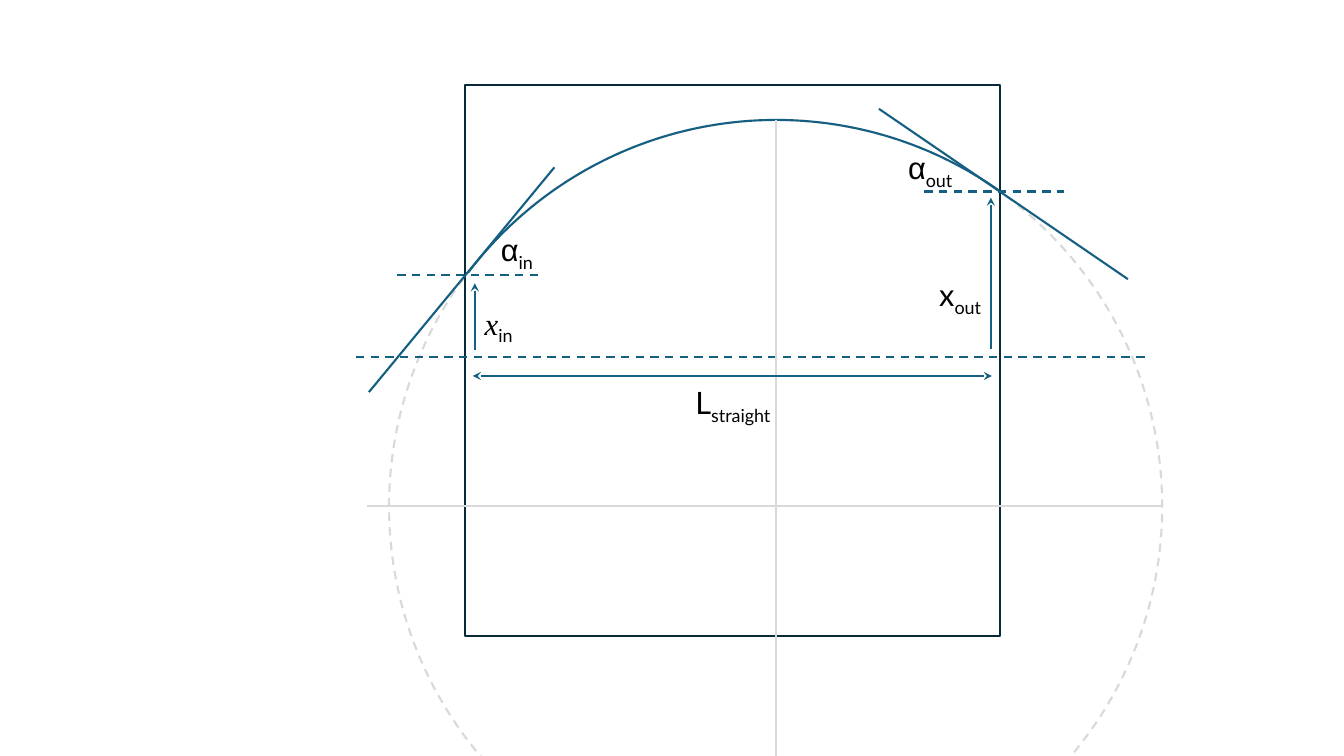
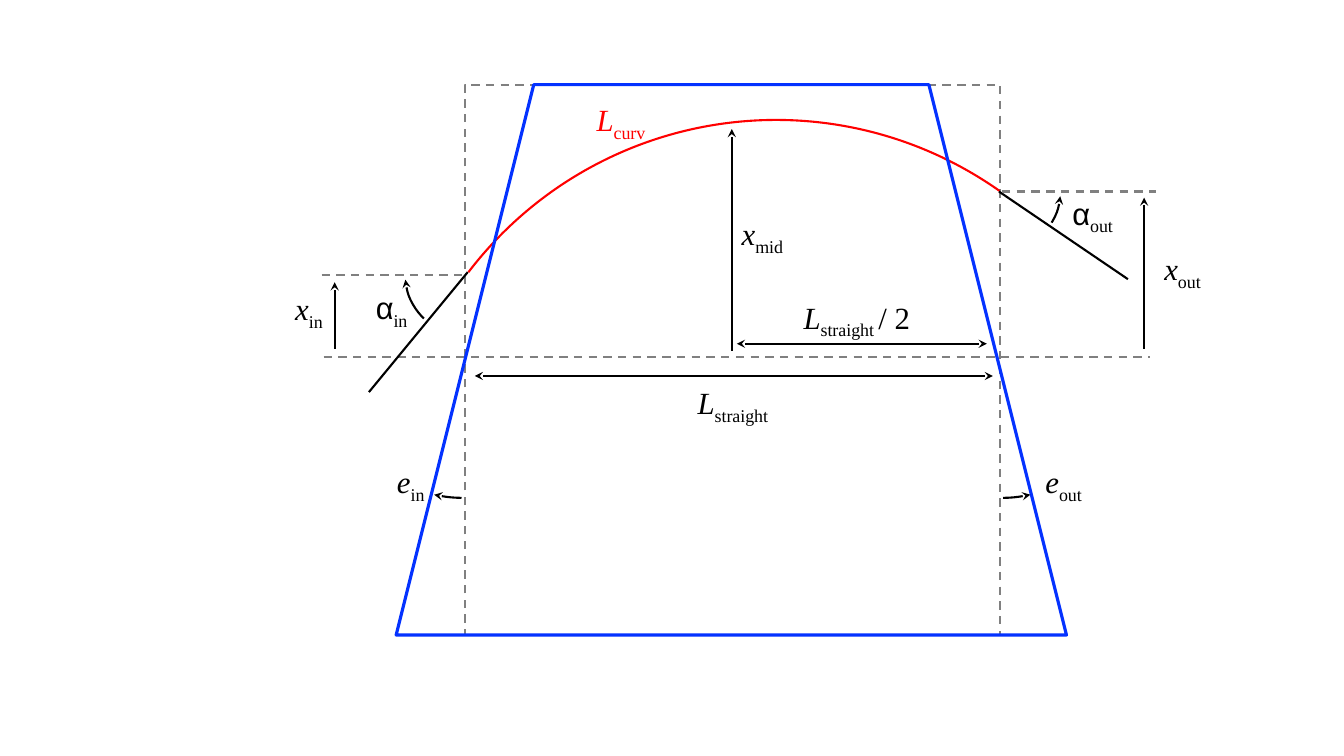
from lxml import etree
from pptx import Presentation
from pptx import util as u
from pptx.dml.color import RGBColor
from pptx.enum import dml, shapes, text
from pptx.oxml import ns

COLORS = {"teal": "156082", "frame": "092A39", "pale": "D9D9D9", "gray": "808080",
          "black": "000000", "red": "FF0000", "blue": "0432FF"}
SERIF, SANS, GREEK = "Times New Roman", "Lato", "Arial"
LEFT, CENTER, RIGHT = text.PP_ALIGN.LEFT, text.PP_ALIGN.CENTER, text.PP_ALIGN.RIGHT

# Geometry of the magnet, in grid cells of a tenth of an inch
CELL = u.Inches(0.1)
COLUMNS, ROWS = 133.33, 75
IN_X, OUT_X = 46.1, 99.2
TOP, HEIGHT = 8.4, 54.6
AXIS_Y, IN_Y, OUT_Y = 35.4, 27.3, 19
SPAN_Y = 37.3
ORBIT, ORBIT_RADIUS = (77, 50.3), 38.4
ORBIT_ANGLES = (217.33, 305.25)


def cells(*counts):
    return [u.Emu(round(count * CELL)) for count in counts]


def add_run(paragraph, content, font=SERIF, color="black", italic=False, subscript=False):
    run = paragraph.add_run()
    run.text = content
    run.font.name = font
    run.font.size = u.Pt(22)
    run.font.italic = italic
    run.font.color.rgb = RGBColor.from_string(COLORS[color])
    if subscript:
        run.font._element.set("baseline", "-25000")


class Diagram:
    """Holds the line style and draws on the current slide."""

    def __init__(self, presentation, color, arrow_width):
        self.slide = presentation.slides.add_slide(presentation.slide_layouts[6])
        self.color = color
        self.arrow_width = arrow_width

    def style_line(self, element, color, width, dashed, ends):
        line = element.line
        line.color.rgb = RGBColor.from_string(COLORS[color or self.color])
        line.width = u.Pt(width)
        if dashed:
            line.dash_style = dml.MSO_LINE.DASH
        for end in ends:
            etree.SubElement(line._get_or_add_ln(), ns.qn(f"a:{end}End"), type="stealth")

    def outline(self, kind, left, top, width, height, color=None, weight=1.5,
                dashed=False, ends=(), adjustments=()):
        shape = self.slide.shapes.add_shape(kind, *cells(left, top, width, height))
        shape.shadow.inherit = False
        shape.fill.background()
        for index, value in enumerate(adjustments):
            shape.adjustments[index] = value
        self.style_line(shape, color, weight, dashed, ends)
        return shape

    def arc(self, center, radius, angles, **style):
        """Draw clockwise between two angles in degrees."""
        x, y = center
        return self.outline(shapes.MSO_SHAPE.ARC, x - radius, y - radius, 2 * radius,
                            2 * radius, adjustments=[angle * 0.6 for angle in angles], **style)

    def line(self, x1, y1, x2, y2, color=None, width=1.5, dashed=False, ends=()):
        connector = self.slide.shapes.add_connector(
            shapes.MSO_CONNECTOR.STRAIGHT, *cells(x1, y1, x2, y2))
        self.style_line(connector, color, width, dashed, ends)
        etree.SubElement(connector._element.spPr, ns.qn("a:effectLst"))
        return connector

    def arrow(self, x1, y1, x2, y2, both=False):
        ends = ("head", "tail") if both else ("tail",)
        return self.line(x1, y1, x2, y2, width=self.arrow_width, ends=ends)

    def label(self, left, top, width, symbol, subscript, suffix="", align=LEFT,
              font=SERIF, sub_font=SERIF, italic=True, color="black"):
        box = self.slide.shapes.add_textbox(*cells(left, top, width, 8.4))
        box.text_frame.word_wrap = align == CENTER
        paragraph = box.text_frame.paragraphs[0]
        paragraph.alignment = align
        add_run(paragraph, symbol, font=font, italic=italic, color=color)
        add_run(paragraph, subscript, font=sub_font, subscript=True, color=color)
        if suffix:
            add_run(paragraph, suffix, font=sub_font, color=color)


def draw_straight_magnet(presentation):
    diagram = Diagram(presentation, "teal", 1.75)
    circle = diagram.outline(shapes.MSO_SHAPE.OVAL, 38.6, 11.9, 76.7, 76.7,
                             color="pale", dashed=True)
    diagram.outline(shapes.MSO_SHAPE.RECTANGLE, IN_X, TOP, OUT_X - IN_X, HEIGHT + 0.1,
                    color="frame")
    diagram.line(35.3, AXIS_Y, 114.1, AXIS_Y, dashed=True)
    diagram.arc(ORBIT, ORBIT_RADIUS, ORBIT_ANGLES)
    diagram.line(36.4, 50.2, 115.2, 50.2, color="pale")
    diagram.line(76.95, 11.9, 76.95, 90.7, color="pale").begin_connect(circle, 0)

    diagram.line(55, 16.6, 36.6, 38.9)
    diagram.line(39.4, IN_Y, 53.4, IN_Y, dashed=True)
    diagram.line(87.2, 10.8, 111.9, 27.7)
    diagram.line(91.7, OUT_Y, 105.6, OUT_Y, dashed=True)

    diagram.arrow(47.1, 34.7, 47.1, 28.1)
    diagram.arrow(98.3, 34.6, 98.3, 19.6)
    diagram.arrow(98.4, SPAN_Y, 46.9, SPAN_Y, both=True)

    greek = {"font": GREEK, "sub_font": SANS, "italic": False}
    sans = {"font": SANS, "sub_font": SANS, "italic": False}
    diagram.label(48.7, 22.4, 5.6, "α", "in", **greek)
    diagram.label(89.1, 14.3, 6.9, "α", "out", **greek)
    diagram.label(47.1, 29.7, 5.2, "x", "in", sub_font=SANS)
    diagram.label(92, 26.9, 6.3, "x", "out", align=RIGHT, **sans)
    diagram.label(47.3, 37.6, 50.8, "L", "straight", align=CENTER, **sans)


def draw_wedge_magnet(presentation):
    diagram = Diagram(presentation, "black", 1.5)
    guide = {"color": "gray", "dashed": True}
    diagram.outline(shapes.MSO_SHAPE.RECTANGLE, IN_X, TOP, OUT_X - IN_X, HEIGHT, **guide)
    diagram.line(32.1, AXIS_Y, 114.1, AXIS_Y, **guide)
    diagram.arc(ORBIT, ORBIT_RADIUS, ORBIT_ANGLES, color="red")
    diagram.line(46.4, 27, 36.6, 38.9)
    diagram.line(31.9, IN_Y, 46.2, IN_Y, **guide)
    diagram.line(99.1, OUT_Y, 111.9, 27.7)
    diagram.line(99.4, OUT_Y, 114.7, OUT_Y, **guide)

    diagram.arrow(33.2, 34.6, 33.2, 28)
    diagram.arrow(113.5, 34.6, 113.5, 19.6)
    diagram.arrow(72.6, 34.8, 72.6, 12.8)
    diagram.arrow(98.5, SPAN_Y, 47.1, SPAN_Y, both=True)
    diagram.arrow(97.9, 34.1, 73.1, 34.1, both=True)

    greek = {"font": GREEK, "italic": False}
    diagram.label(36.3, 28.2, 5.6, "α", "in", **greek)
    diagram.label(105.4, 18.8, 6.6, "α", "out", **greek)
    diagram.label(28.3, 28.3, 5.2, "x", "in")
    diagram.label(113.9, 24.3, 6.2, "x", "out", align=RIGHT)
    diagram.label(72.6, 20.8, 6.8, "x", "mid")
    diagram.label(47.3, 37.6, 50.8, "L", "straight", align=CENTER)
    diagram.label(73.3, 29.1, 23.4, "L", "straight ", "/ 2", align=CENTER)
    diagram.label(57.9, 9.5, 7.4, "L", "curv", align=CENTER, color="red")
    diagram.label(102.1, 45.4, 6.2, "e", "out", align=RIGHT)
    diagram.label(38.1, 45.4, 5, "e", "in", align=RIGHT)

    diagram.outline(shapes.MSO_SHAPE.TRAPEZOID, 39.3, TOP, 66.5, HEIGHT,
                    color="blue", weight=2.25, adjustments=[0.25])
    diagram.arc((99.3, OUT_Y), 5.9, (4.6, 31.58), ends=["head"])
    diagram.arc((IN_X, IN_Y), 5.9, (133.23, 175.63), ends=["tail"])
    diagram.arc((99.3, 35.6), 13.8, (77.77, 89.12), ends=["head"])
    diagram.arc((46, 35.6), 13.8, (90.88, 102.23), ends=["tail"])


def main():
    presentation = Presentation()
    presentation.slide_width, presentation.slide_height = cells(COLUMNS, ROWS)
    draw_straight_magnet(presentation)
    draw_wedge_magnet(presentation)
    presentation.save("out.pptx")


if __name__ == "__main__":
    main()
